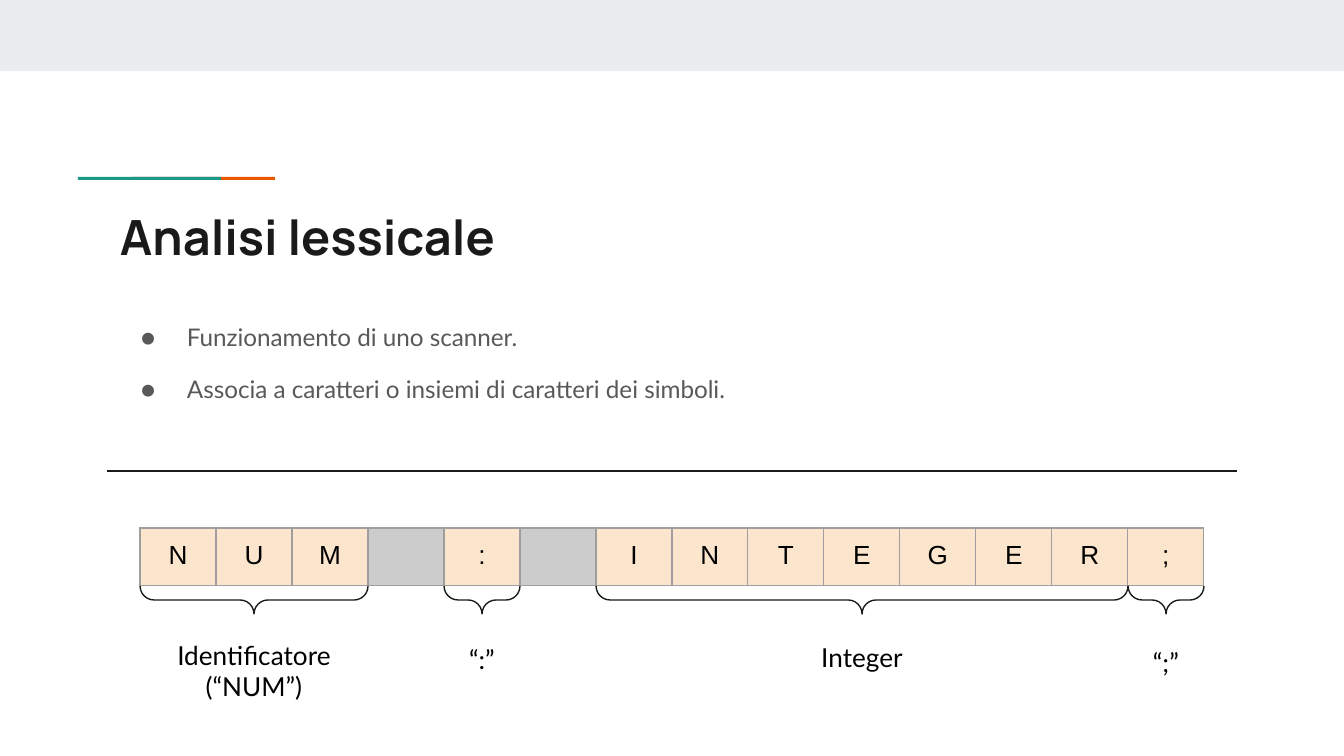
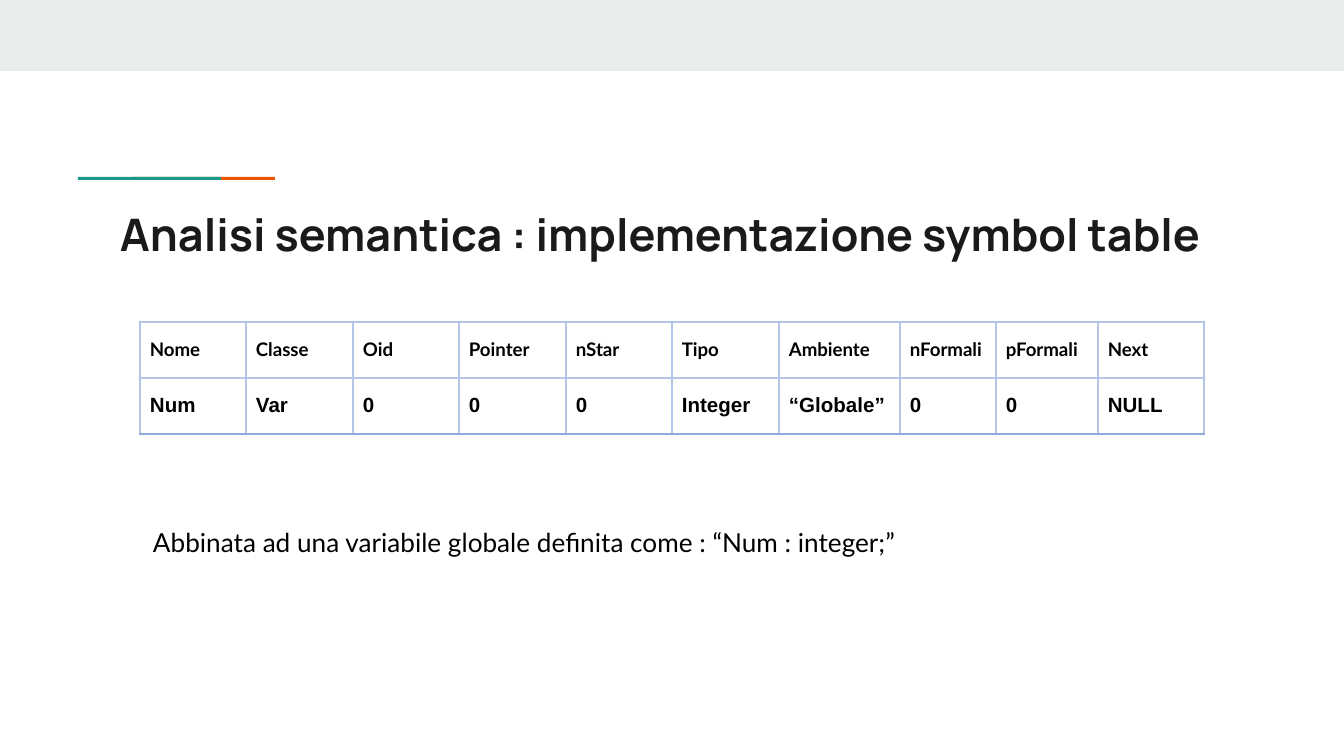
"""Builds two slides on the lexical and semantic analysis of a declaration."""
from lxml.etree import SubElement
from pptx import Presentation
from pptx.dml.color import RGBColor
from pptx.enum.shapes import MSO_CONNECTOR as Connector, MSO_SHAPE as Shape
from pptx.enum.text import PP_ALIGN as Align
from pptx.oxml.ns import qn
from pptx.util import Emu, Pt

BAND = RGBColor(0xE9, 0xED, 0xEE)
TEAL = RGBColor(0x1A, 0x99, 0x88)
ORANGE = RGBColor(0xEB, 0x56, 0x00)
INK = RGBColor(0x1A, 0x1A, 0x1A)
GREY = RGBColor(0x59, 0x59, 0x59)
BLACK = RGBColor(0, 0, 0)
PEACH = RGBColor(0xFC, 0xE5, 0xCD)
SILVER = RGBColor(0xCC, 0xCC, 0xCC)
CELL_EDGE = RGBColor(0x9E, 0x9E, 0x9E)
PALE_BLUE = RGBColor(0xB4, 0xC6, 0xE7)
MID_BLUE = RGBColor(0x8E, 0xAA, 0xDB)

TITLE_FONT, BODY_FONT, CODE_FONT = "Manrope", "Lato", "Arial"
PAGE_W, PAGE_H = 1344, 756
LEFT, WIDTH = 107, 1130
TABLE_LEFT, TABLE_W = 140, 1064
ROW_H, INSET = 56, 13
CELL_W = 76


def px(length):
    return Emu(round(length * 914400 / 134.4))


def write(para, text, *, size, font=BODY_FONT, color=BLACK, bold=False,
          align=Align.LEFT, spacing=None, before=None):
    para.alignment = align
    if spacing:
        para.line_spacing = spacing
    if before:
        para.space_before = Pt(before)
    if not text:
        SubElement(para._p, qn("a:endParaRPr"), sz=str(size * 100))
        return
    for number, line in enumerate(text.split("\n")):
        if number:
            para.add_line_break()
        span = para.add_run()
        span.text = line
        span.font.size = Pt(size)
        span.font.name = font
        span.font.bold = bold
        span.font.color.rgb = color


def add_bullet(para, color):
    props = para._p.get_or_add_pPr()
    props.set("marL", str(px(67)))
    props.set("indent", str(-px(46)))
    tint = SubElement(props, qn("a:buClr"))
    SubElement(tint, qn("a:srgbClr"), val=str(color))
    SubElement(props, qn("a:buFont"), typeface=BODY_FONT)
    SubElement(props, qn("a:buChar"), char="●")


def set_border(cell, side, color, width):
    props = cell._tc.get_or_add_tcPr()
    edge = SubElement(props, qn(f"a:ln{side}"), w=str(Pt(width)))
    fill = SubElement(edge, qn("a:solidFill"))
    SubElement(fill, qn("a:srgbClr"), val=str(color))


class Deck:
    def __init__(self):
        self.deck = Presentation()
        self.deck.slide_width, self.deck.slide_height = px(PAGE_W), px(PAGE_H)
        self.page = None

    def add_page(self, title, size):
        self.page = self.deck.slides.add_slide(self.deck.slide_layouts[6])
        self.block(0, 0, PAGE_W, 71, BAND)
        self.block(133, 177, 142, 3, ORANGE)
        self.block(78, 177, 143, 3, TEAL)
        self.text(LEFT, 194, WIDTH, 79, [title], size=size, font=TITLE_FONT,
                  color=INK, bold=True)

    def block(self, left, top, width, height, color):
        box = self.page.shapes.add_shape(
            Shape.RECTANGLE, px(left), px(top), px(width), px(height))
        box.shadow.inherit = False
        box.fill.solid()
        box.fill.fore_color.rgb = color
        box.line.fill.background()

    def text(self, left, top, width, height, lines, **style):
        box = self.page.shapes.add_textbox(
            px(left), px(top), px(width), px(height))
        frame = box.text_frame
        frame.word_wrap = True
        frame.margin_left = frame.margin_right = px(INSET)
        frame.margin_top = frame.margin_bottom = px(INSET)
        for number, line in enumerate(lines):
            para = frame.add_paragraph() if number else frame.paragraphs[0]
            write(para, line, **style)
        return frame

    def bullets(self, left, top, width, height, lines):
        frame = self.text(left, top, width, height, lines, size=13, color=GREY,
                          align=Align.JUSTIFY, spacing=1.15, before=10)
        frame.paragraphs[0].space_before = Pt(12)
        for para in frame.paragraphs:
            add_bullet(para, GREY)

    def rule(self, left, right, top):
        line = self.page.shapes.add_connector(
            Connector.STRAIGHT, px(left), px(top), px(right), px(top))
        line.line.color.rgb = INK
        line.line.width = Pt(0.75)
        SubElement(line._element.spPr, qn("a:effectLst"))

    def brace(self, left, top, width, depth):
        brace = self.page.shapes.add_shape(
            Shape.RIGHT_BRACE, px(left + (width - depth) / 2),
            px(top + (depth - width) / 2), px(depth), px(width))
        brace.rotation = 90
        brace.adjustments[0] = brace.adjustments[1] = 0.5
        brace.shadow.inherit = False
        brace.fill.background()
        brace.line.color.rgb = INK
        brace.line.width = Pt(0.75)

    def table(self, top, rows, widths, styles, side_inset, edges, fill=None):
        table = self.page.shapes.add_table(
            len(rows), len(widths), px(TABLE_LEFT), px(top),
            px(sum(widths)), px(ROW_H * len(rows))).table
        table.first_row = table.horz_banding = False
        for column, width in zip(table.columns, widths):
            column.width = px(width)
        for row, texts, style, bottom in zip(table.rows, rows, styles, edges[1:]):
            row.height = px(ROW_H)
            for cell, text in zip(row.cells, texts):
                cell.margin_left = cell.margin_right = px(side_inset)
                cell.margin_top = cell.margin_bottom = px(INSET)
                for side in "LRT":
                    set_border(cell, side, *edges[0])
                set_border(cell, "B", *bottom)
                if fill:
                    cell.fill.solid()
                    cell.fill.fore_color.rgb = fill if text else SILVER
                else:
                    cell.fill.background()
                write(cell.text_frame.paragraphs[0], text, **style)

    def save(self):
        self.deck.save("out.pptx")


def add_lexical_page(deck):
    deck.add_page("Analisi lessicale", 26)
    deck.bullets(LEFT, 305, WIDTH, 332, [
        "Funzionamento di uno scanner.",
        "Associa a caratteri o insiemi di caratteri dei simboli."])
    characters = [char.strip() for char in "NUM : INTEGER;"]
    thin = (CELL_EDGE, 0.75)
    deck.table(528, [characters], [CELL_W] * len(characters),
               [dict(size=14, font=CODE_FONT, align=Align.CENTER)],
               INSET, [thin, thin], fill=PEACH)
    deck.rule(LEFT, LEFT + WIDTH, 471)
    tokens = [(0, 3, "Identificatore\n(“NUM”)", 626, 52),
              (4, 1, "“:”", 630, 39),
              (6, 7, "Integer", 628, 58),
              (13, 1, "“;”", 633, 39)]
    for start, count, label, top, height in tokens:
        left, width = TABLE_LEFT + start * CELL_W, count * CELL_W
        deck.brace(left, 586, width, 28)
        deck.text(left, top, width, height, [label], size=14,
                  align=Align.CENTER)


def add_semantic_page(deck):
    deck.add_page("Analisi semantica : implementazione symbol table", 24)
    fields = ["Nome", "Classe", "Oid", "Pointer", "nStar", "Tipo", "Ambiente",
              "nFormali", "pFormali", "Next"]
    values = ["Num", "Var", "0", "0", "0", "Integer", "“Globale”", "0", "0",
              "NULL"]
    shared = dict(bold=True, align=Align.JUSTIFY, spacing=1.15, before=12)
    thin = (PALE_BLUE, 1)
    deck.table(322, [fields, values], [106, 107] * 3 + [121, 96, 102, 106],
               [dict(shared, size=10), dict(shared, size=11, font=CODE_FONT)],
               10, [thin, thin, (MID_BLUE, 1.5)])
    deck.text(TABLE_LEFT, 513, TABLE_W, 93, [
        "Abbinata ad una variabile globale definita come : “Num : integer;”"],
        size=14)


def main():
    deck = Deck()
    add_lexical_page(deck)
    add_semantic_page(deck)
    deck.save()


if __name__ == "__main__":
    main()
